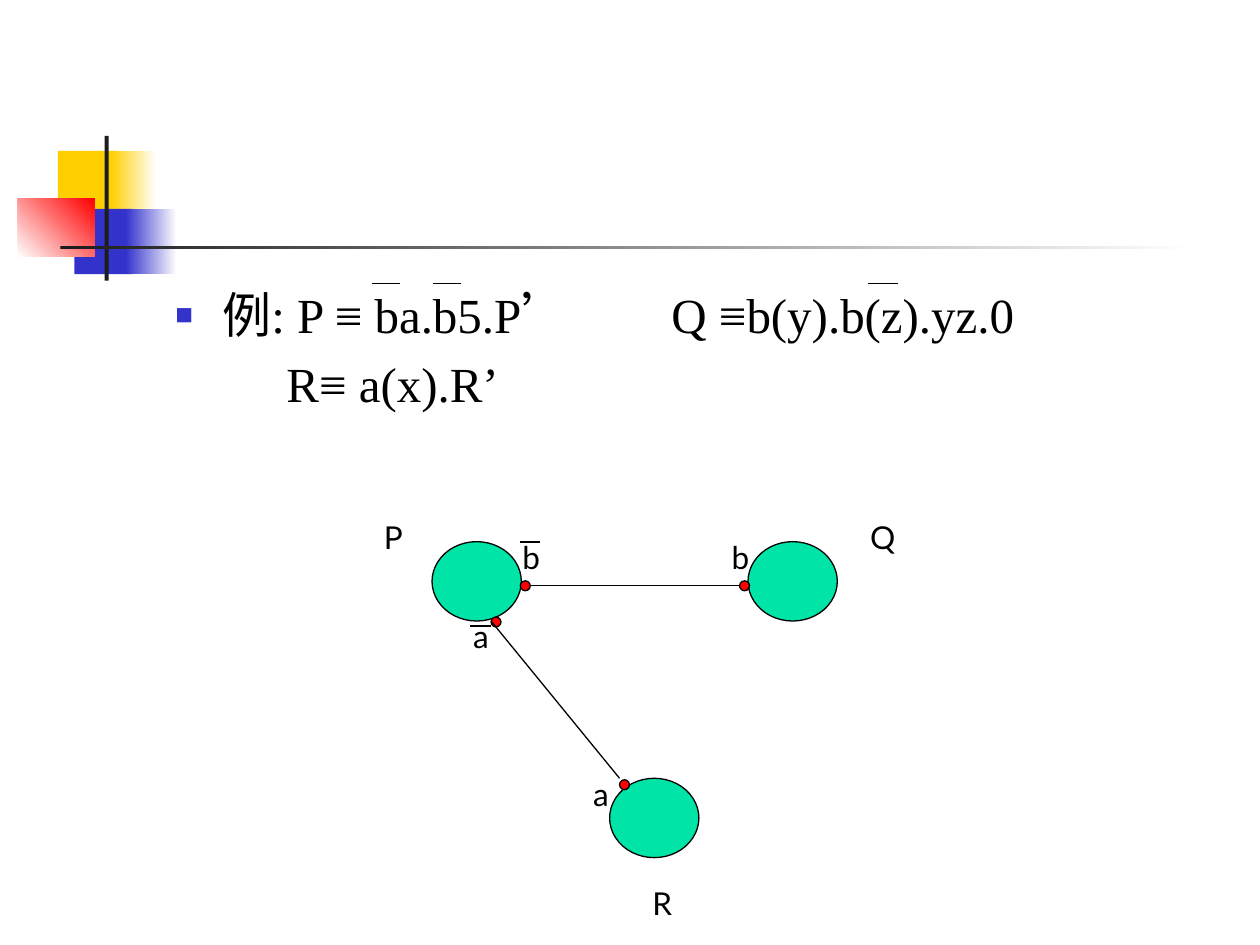
from collections import namedtuple
from dataclasses import dataclass

from lxml.etree import SubElement
from pptx import Presentation
from pptx.dml.color import RGBColor
from pptx.enum.shapes import MSO_CONNECTOR, MSO_SHAPE
from pptx.enum.text import MSO_AUTO_SIZE, PP_ALIGN
from pptx.oxml.ns import qn
from pptx.util import Cm, Pt

Box = namedtuple("Box", "left top width height")


@dataclass(frozen=True)
class Theme:
    yellow: str = "FFCF01"
    blue: str = "3333CC"
    red: str = "FF0000"
    green: str = "00E4A8"
    charcoal: str = "1C1C1C"
    black: str = "000000"
    white: str = "FFFFFF"
    formula_font: str = "Times New Roman"
    label_font: str = "Lato"
    formula_size: float = 28
    label_size: float = 18
    line_width: float = 0.75


THEME = Theme()


def color(value):
    return RGBColor.from_string(value)


def place(box, left, top, width, height):
    return Cm(box.left + left), Cm(box.top + top), Cm(width), Cm(height)


def add_figure(page, kind, box, *area):
    figure = page.shapes.add_shape(kind, *place(box, *area))
    figure.shadow.inherit = False
    return figure


def add_block(page, box, area, start, end=None, angle=0):
    block = add_figure(page, MSO_SHAPE.RECTANGLE, box, *area)
    block.line.fill.background()
    if end is None:
        block.fill.solid()
        block.fill.fore_color.rgb = color(start)
        return
    block.fill.gradient()
    block.fill.gradient_angle = angle
    for stop, value, position in zip(block.fill.gradient_stops, (start, end), (0, 1)):
        stop.color.rgb = color(value)
        stop.position = position


def add_circle(page, box, area, fill):
    circle = add_figure(page, MSO_SHAPE.OVAL, box, *area)
    circle.fill.solid()
    circle.fill.fore_color.rgb = color(fill)
    circle.line.color.rgb = color(THEME.black)
    circle.line.width = Pt(THEME.line_width)


def add_line(page, box, start, end, width=THEME.line_width):
    ends = [Cm(base + offset) for point in (start, end)
            for base, offset in zip((box.left, box.top), point)]
    line = page.shapes.add_connector(MSO_CONNECTOR.STRAIGHT, *ends)
    line.line.color.rgb = color(THEME.black)
    line.line.width = Pt(width)
    SubElement(line._element.spPr, qn("a:effectLst"))


def add_span(para, text, font, size):
    span = para.add_run()
    span.text = text
    span.font.name = font
    span.font.size = Pt(size)
    span.font.color.rgb = color(THEME.black)


def add_label(page, box, left, top, text):
    label = page.shapes.add_textbox(*place(box, left, top, 1, 1.02))
    label.text_frame.word_wrap = True
    para = label.text_frame.paragraphs[0]
    add_span(para, text, THEME.label_font, THEME.label_size)


def set_indent(para, margin, hanging):
    properties = para._p.get_or_add_pPr()
    properties.set("marL", str(Cm(margin)))
    properties.set("indent", str(Cm(hanging)))
    return properties


def add_bullet(properties):
    tint = SubElement(properties, qn("a:buClr"))
    SubElement(tint, qn("a:srgbClr"), val=THEME.blue)
    SubElement(properties, qn("a:buSzPct"), val="60000")
    SubElement(properties, qn("a:buChar"), char="■")


def add_tab(properties, position):
    tabs = SubElement(properties, qn("a:tabLst"))
    SubElement(tabs, qn("a:tab"), pos=str(Cm(position)), algn="l")


def draw_ornament(page, box):
    side = 1.32
    add_block(page, box, (0.81, 0.3, 1.22, side), THEME.yellow)
    add_block(page, box, (1.88, 0.3, 0.91, side), THEME.yellow, THEME.white)
    add_block(page, box, (1.14, 1.47, 1.17, side), THEME.blue)
    add_block(page, box, (2.18, 1.47, 1.02, side), THEME.blue, THEME.white)
    add_block(page, box, (0, 1.27, 1.55, 1.17), THEME.white, THEME.red, 45)
    add_block(page, box, (1.75, 0, 0.08, box.height), THEME.charcoal)
    add_block(page, box, (0.86, 2.21, box.width - 0.86, 0.08), THEME.charcoal, THEME.white)


def write_formulas(page, body, box):
    body.left, body.top, body.width, body.height = place(box, 0, 0, box.width, box.height)
    frame = body.text_frame
    frame.word_wrap = True
    frame.auto_size = MSO_AUTO_SIZE.NONE

    first = frame.paragraphs[0]
    properties = set_indent(first, 0.95, -0.95)
    add_bullet(properties)
    add_tab(properties, 10)
    first.space_before = Pt(0)
    add_span(first, "例: P ≡ ba.b5.P’\tQ ≡b(y).b(z).yz.0", THEME.formula_font, THEME.formula_size)

    second = frame.add_paragraph()
    SubElement(set_indent(second, 2.24, 0), qn("a:buNone"))
    second.space_before = Pt(0.2 * THEME.formula_size)
    add_span(second, "R≡ a(x).R’", THEME.formula_font, THEME.formula_size)

    for para in frame.paragraphs:
        para.alignment = PP_ALIGN.LEFT
    for start, end in ((4.22, 4.78), (5.44, 6.02), (14.22, 14.83)):
        add_line(page, box, (start, 0.1), (end, 0.1))


def draw_network(page, box):
    for left, top in ((1.22, 0.61), (7.59, 0.61), (4.8, 5.38)):
        add_circle(page, box, (left, top, 1.8, 1.6), THEME.green)
    for left, top in ((2.41, 2.13), (3, 1.4), (7.42, 1.4), (5, 5.41)):
        add_circle(page, box, (left, top, 0.2, 0.2), THEME.red)

    labels = (("P", 0, 0), ("Q", 9.8, 0), ("R", 5.41, 7.39),
              ("a", 1.8, 2.01), ("a", 4.22, 5.18),
              ("b", 2.79, 0.41), ("b", 7.01, 0.41))
    for text, left, top in labels:
        add_label(page, box, left, top, text)

    add_line(page, box, (3, 0.61), (3.4, 0.61), 1)
    add_line(page, box, (1.98, 2.31), (2.41, 2.31))
    add_line(page, box, (2.41, 2.21), (5, 5.38))
    add_line(page, box, (3.2, 1.5), (7.42, 1.5))


def main():
    deck = Presentation()
    deck.slide_width, deck.slide_height = Cm(25.4), Cm(19.05)
    page = deck.slides.add_slide(deck.slide_layouts[1])
    title = page.shapes.title._element
    title.getparent().remove(title)
    draw_ornament(page, Box(0.36, 2.74, 23.72, 2.92))
    write_formulas(page, page.placeholders[1], Box(3.28, 5.61, 21.59, 11.43))
    draw_network(page, Box(7.49, 10.31, 10.8, 8.41))
    deck.save("out.pptx")


if __name__ == "__main__":
    main()
